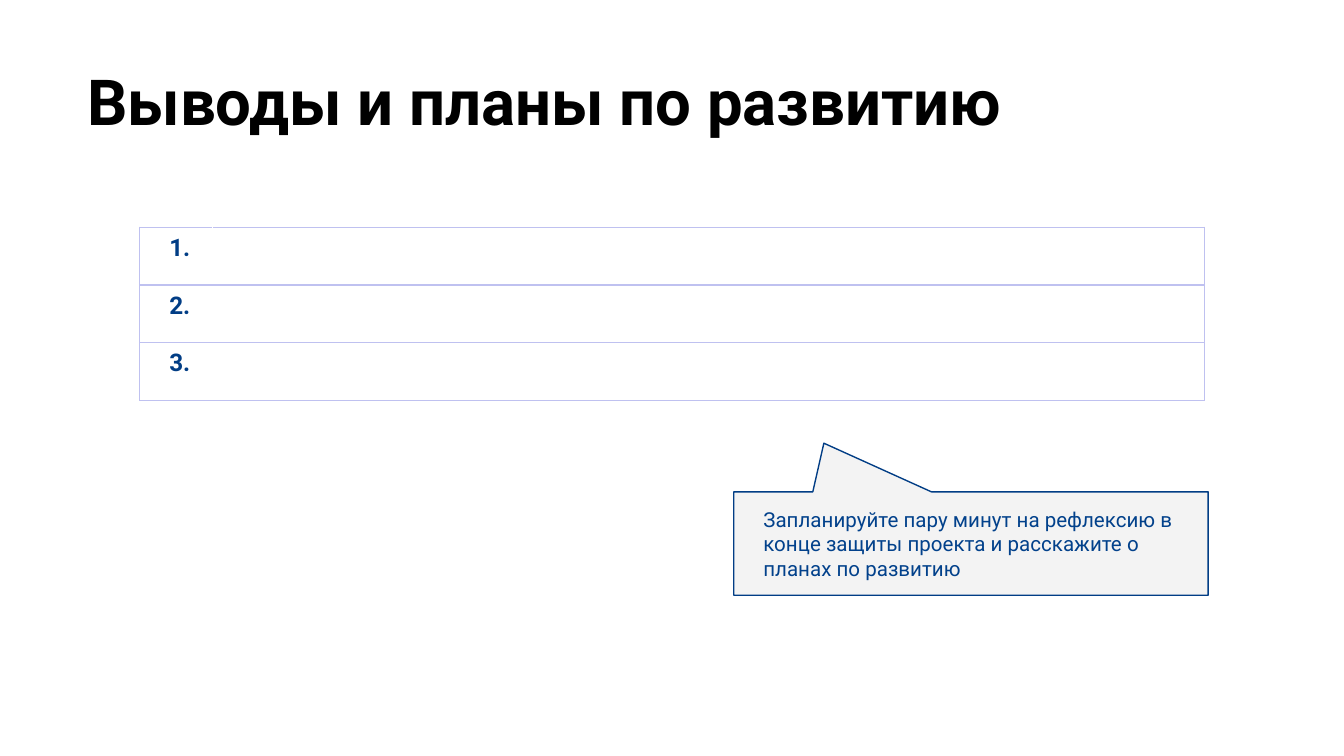
from lxml import etree
from pptx import Presentation
from pptx import util as u
from pptx.dml.color import RGBColor
from pptx.enum import shapes, text
from pptx.oxml import ns

NAVY, LILAC, WHITE = "013D85", "BFC1F0", "FFFFFF"


def color(code):
    return RGBColor.from_string(code)


def write(box, words, size=11, tint=NAVY, bold=False, before=0,
          pads=(0.1, 0.1, 0.1, 0.1), anchor=text.MSO_ANCHOR.TOP):
    """Fill a shape or table cell with text; pads are left, top, right, bottom."""
    frame = box.text_frame
    frame.word_wrap = True
    # Cells keep margins and anchor themselves, shapes keep them on the frame.
    owner = box if hasattr(box, "margin_left") else frame
    owner.vertical_anchor = anchor
    for side, pad in zip(("left", "top", "right", "bottom"), pads):
        setattr(owner, "margin_" + side, u.Inches(pad))
    para = frame.paragraphs[0]
    para.alignment = text.PP_ALIGN.LEFT
    para.space_before = u.Pt(before)
    run = para.add_run()
    run.text = words
    run.font.name = "Roboto"
    run.font.size = u.Pt(size)
    run.font.bold = bold
    run.font.color.rgb = color(tint)


deck = Presentation()
deck.slide_width, deck.slide_height = u.Inches(10), u.Inches(10 * 9 / 16)
slide = deck.slides.add_slide(deck.slide_layouts[6])

# Title
title = slide.shapes.add_textbox(
    u.Inches(0.55), u.Inches(0.36), u.Inches(9.32), u.Inches(1.2))
write(title, "Выводы и планы по развитию", size=34, tint="000000", bold=True)

# Numbered table with a white line between the columns
rows, high = 3, 0.43
table = slide.shapes.add_table(
    rows, 2, u.Inches(1.04), u.Inches(1.69),
    u.Inches(7.92), u.Inches(rows * high)).table
table.first_row = table.horz_banding = False
for col, wide in zip(table.columns, (0.54, 7.38)):
    col.width = u.Inches(wide)
edges = (
    {"lnL": LILAC, "lnR": WHITE, "lnT": LILAC, "lnB": LILAC},
    {"lnL": WHITE, "lnR": LILAC, "lnT": LILAC, "lnB": LILAC},
)
for num, row in enumerate(table.rows, 1):
    row.height = u.Inches(high)
    for cell, sides in zip(row.cells, edges):
        cell.fill.background()
        props = cell._tc.get_or_add_tcPr()
        for spot, (tag, tint) in enumerate(sides.items()):
            line = etree.Element(ns.qn("a:" + tag), w=str(u.Pt(0.75)))
            fill = etree.SubElement(line, ns.qn("a:solidFill"))
            etree.SubElement(fill, ns.qn("a:srgbClr"), val=tint)
            props.insert(spot, line)
    write(row.cells[0], f"{num}.", size=13, bold=True,
          pads=(0.22, 0.05, 0.1, 0.05))

# Callout with advice
note = slide.shapes.add_shape(
    shapes.MSO_SHAPE.RECTANGULAR_CALLOUT,
    u.Inches(5.46), u.Inches(3.66), u.Inches(3.53), u.Inches(0.77))
note.shadow.inherit = False
note.adjustments[0], note.adjustments[1] = -0.31, -0.97
note.fill.solid()
note.fill.fore_color.rgb = color("F3F3F3")
note.line.color.rgb = color(NAVY)
note.line.width = u.Pt(0.75)
write(note, "Запланируйте пару минут на рефлексию в конце защиты проекта "
      "и расскажите о планах по развитию", tint="02418B", before=6,
      pads=(0.22, 0.14, 0.22, 0.14), anchor=text.MSO_ANCHOR.MIDDLE)

deck.save("out.pptx")
